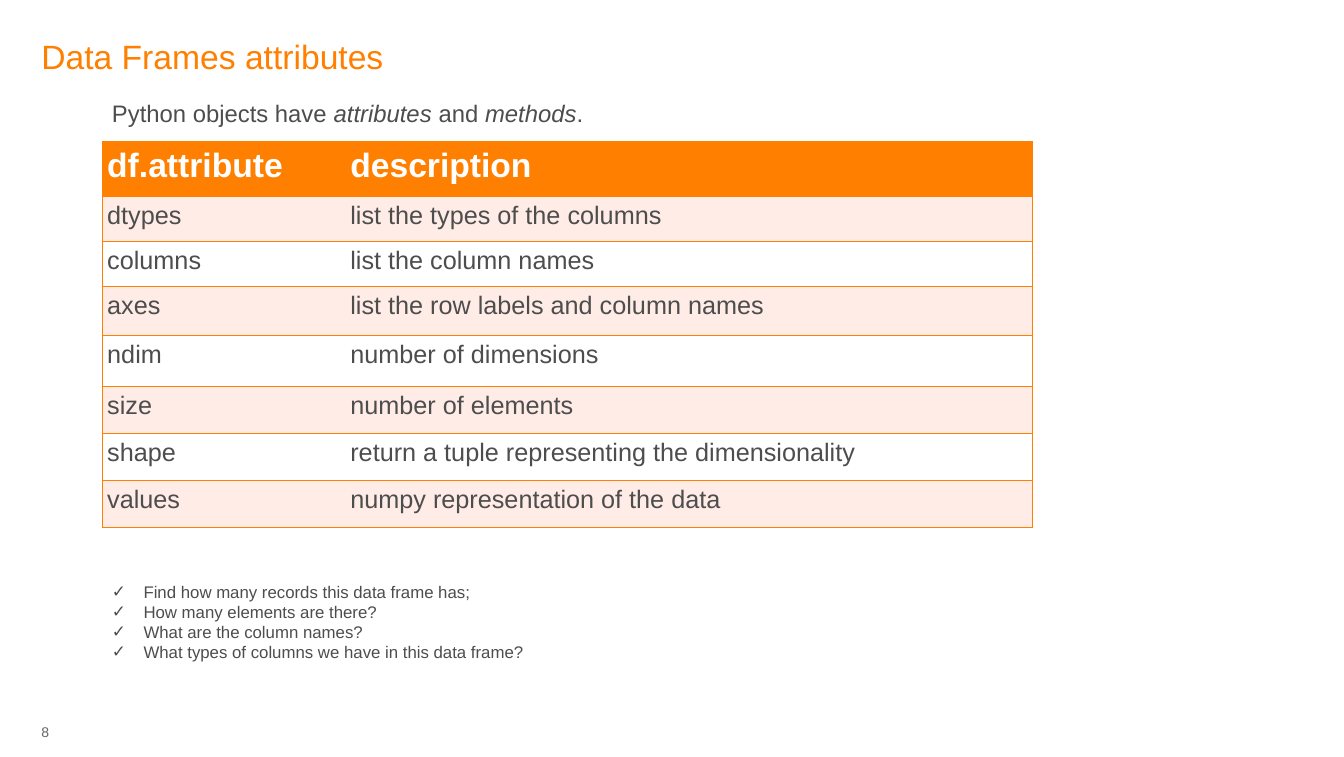
from typing import NamedTuple

from lxml.etree import SubElement
from pptx import Presentation
from pptx.dml.color import RGBColor
from pptx.enum.text import MSO_ANCHOR, MSO_AUTO_SIZE, PP_ALIGN
from pptx.oxml.ns import qn
from pptx.util import Pt

ORANGE = RGBColor(0xFF, 0x80, 0x00)
PEACH = RGBColor(0xFF, 0xEC, 0xE6)
WHITE = RGBColor(0xFF, 0xFF, 0xFF)
DARK_GRAY = RGBColor(0x4D, 0x4D, 0x4D)
GRAY = RGBColor(0x66, 0x66, 0x66)
FONT = "Arial"
INSET = 3.6
BULLET_INDENT = 22.5


class Box(NamedTuple):
    left: float
    top: float
    width: float
    height: float


class Row(NamedTuple):
    attribute: str
    description: str
    height: float


class Piece(NamedTuple):
    text: str
    italic: bool = False


TITLE_BOX = Box(29.5, 23, 901.4, 33.8)
INTRO_BOX = Box(76.3, 67, 657.4, 26.6)
TABLE_BOX = Box(72.9, 101.2, 663.9, 275)
TASKS_BOX = Box(76.3, 411.1, 656.6, 62.6)
NUMBER_BOX = Box(29.5, 516.2, 10, 10.8)
COLUMN_WIDTHS = (173.5, 490.4)

INTRO = (
    Piece("Python objects have "),
    Piece("attributes", True),
    Piece(" and "),
    Piece("methods", True),
    Piece("."),
)
ROWS = (
    Row("df.attribute", "description", 39),
    Row("dtypes", "list the types of the columns", 32.2),
    Row("columns", "list the column names", 32.2),
    Row("axes", "list the row labels and column names", 35),
    Row("ndim", "number of dimensions", 36.2),
    Row("size", "number of elements", 33.5),
    Row("shape", "return a tuple representing the dimensionality", 33.5),
    Row("values", "numpy representation of the data", 33.5),
)
TASKS = (
    "Find how many records this data frame has;",
    "How many elements are there?",
    "What are the column names?",
    "What types of columns we have in this data frame?",
)


def place(sp, box: Box) -> None:
    sp.left, sp.top, sp.width, sp.height = map(Pt, box)


def set_margins(target, inset: float) -> None:
    """Set four equal margins on a text frame or table cell."""
    target.margin_left = target.margin_right = Pt(inset)
    target.margin_top = target.margin_bottom = Pt(inset)


def prepare_frame(sp, inset: float, wrap: bool = True,
                  anchor: MSO_ANCHOR = MSO_ANCHOR.TOP):
    tf = sp.text_frame
    set_margins(tf, inset)
    tf.word_wrap = wrap
    tf.auto_size = MSO_AUTO_SIZE.NONE
    tf.vertical_anchor = anchor
    return tf


def format_runs(tf, size: float, color: RGBColor, bold: bool = False) -> None:
    for p in tf.paragraphs:
        p.alignment = PP_ALIGN.LEFT
        for r in p.runs:
            r.font.name = FONT
            r.font.size = Pt(size)
            r.font.bold = bold
            r.font.color.rgb = color


def add_check(p) -> None:
    pPr = p._p.get_or_add_pPr()
    pPr.set("marL", str(Pt(BULLET_INDENT)))
    pPr.set("indent", str(-Pt(BULLET_INDENT)))
    SubElement(pPr, qn("a:buChar")).set("char", "✓")


def set_borders(cell, visible: str) -> None:
    """Draw the sides named in visible (from LRTB) and clear the others."""
    tcPr = cell._tc.get_or_add_tcPr()
    for side in "LRTB":
        ln = SubElement(tcPr, qn(f"a:ln{side}"), w=str(Pt(1)))
        if side in visible:
            fill = SubElement(ln, qn("a:solidFill"))
            SubElement(fill, qn("a:srgbClr"), val=str(ORANGE))
        else:
            SubElement(ln, qn("a:noFill"))


def add_title(s) -> None:
    sp = s.shapes.title
    place(sp, TITLE_BOX)
    tf = prepare_frame(sp, 0, anchor=MSO_ANCHOR.MIDDLE)
    tf.text = "Data Frames attributes"
    format_runs(tf, 24, ORANGE)


def add_intro(s) -> None:
    tf = prepare_frame(s.shapes.add_textbox(*map(Pt, INTRO_BOX)), INSET)
    p = tf.paragraphs[0]
    for piece in INTRO:
        r = p.add_run()
        r.text = piece.text
        r.font.italic = piece.italic
    format_runs(tf, 17, DARK_GRAY)


def add_attribute_table(s) -> None:
    table = s.shapes.add_table(
        len(ROWS), len(COLUMN_WIDTHS), *map(Pt, TABLE_BOX)).table
    table.horz_banding = False
    for column, width in zip(table.columns, COLUMN_WIDTHS):
        column.width = Pt(width)
    for i, row in enumerate(ROWS):
        table.rows[i].height = Pt(row.height)
        header = i == 0
        fill = ORANGE if header else PEACH if i % 2 else WHITE
        for j, text in enumerate((row.attribute, row.description)):
            cell = table.cell(i, j)
            set_margins(cell, INSET)
            set_borders(cell, "RTB" if j else "LTB")
            cell.fill.solid()
            cell.fill.fore_color.rgb = fill
            cell.text_frame.text = text
            format_runs(cell.text_frame, 24 if header else 18,
                        WHITE if header else DARK_GRAY, header)


def add_tasks(s) -> None:
    sp = s.placeholders[1]
    place(sp, TASKS_BOX)
    tf = prepare_frame(sp, INSET)
    tf.text = "\n".join(TASKS)
    for p in tf.paragraphs:
        p.space_before = Pt(0)
        add_check(p)
    format_runs(tf, 12, DARK_GRAY)


def add_slide_number(s) -> None:
    sp = s.shapes.add_textbox(*map(Pt, NUMBER_BOX))
    tf = prepare_frame(sp, 0, wrap=False)
    tf.text = "8"
    format_runs(tf, 10, GRAY)


def main() -> None:
    prs = Presentation()
    prs.slide_width, prs.slide_height = Pt(959), Pt(540)
    s = prs.slides.add_slide(prs.slide_layouts[1])
    add_title(s)
    add_slide_number(s)
    add_intro(s)
    add_attribute_table(s)
    add_tasks(s)
    prs.save("out.pptx")


if __name__ == "__main__":
    main()
